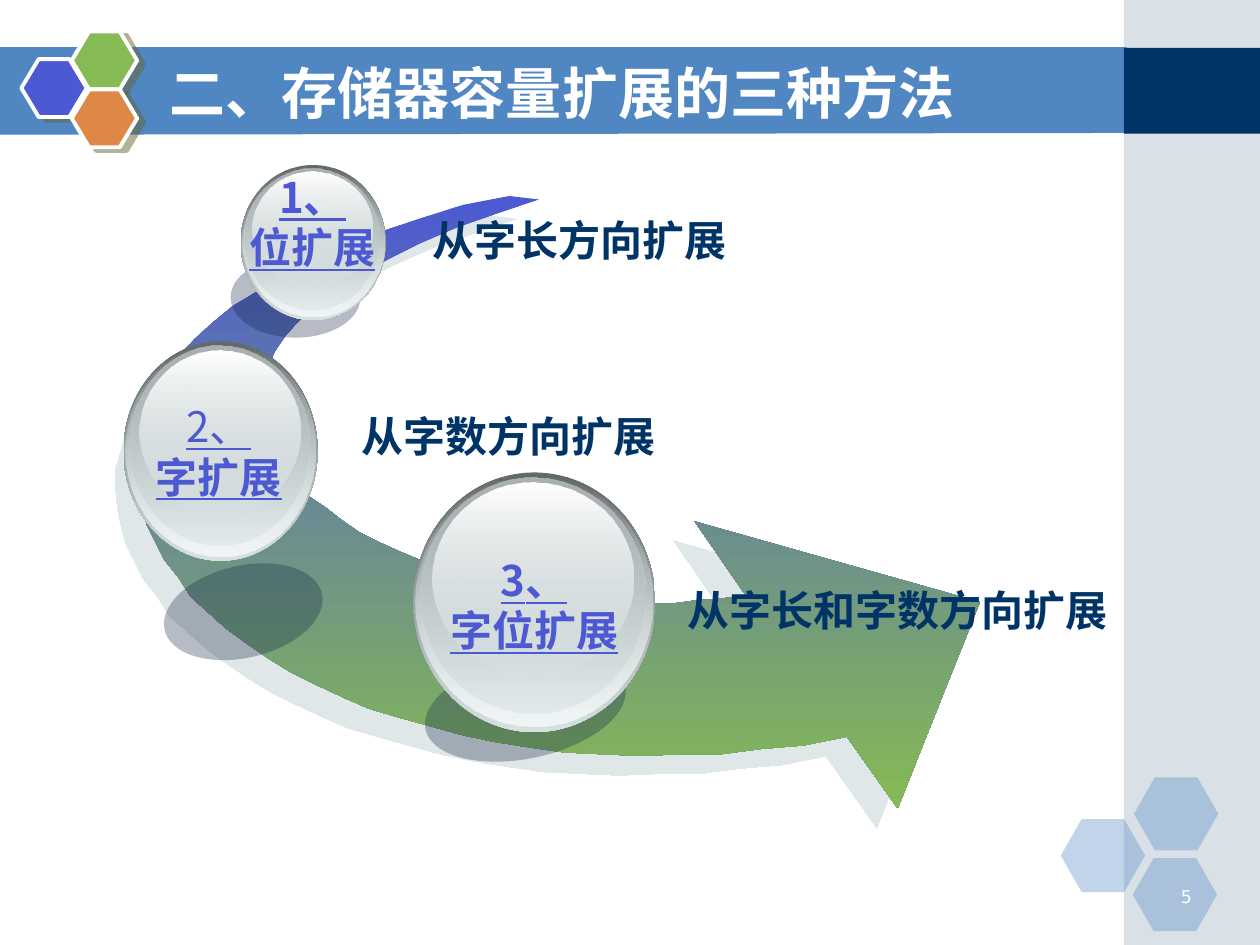
"""Build a slide on three ways to expand memory capacity."""
from lxml import etree
from pptx import Presentation
from pptx.dml.color import RGBColor
from pptx.enum.shapes import MSO_SHAPE
from pptx.enum.text import MSO_ANCHOR, PP_ALIGN
from pptx.oxml import parse_xml
from pptx.oxml.ns import nsdecls, qn
from pptx.util import Pt

RECTANGLE, HEXAGON, ELLIPSE = MSO_SHAPE.RECTANGLE, MSO_SHAPE.HEXAGON, MSO_SHAPE.OVAL
LEFT, CENTER, RIGHT = PP_ALIGN.LEFT, PP_ALIGN.CENTER, PP_ALIGN.RIGHT
TOP, MIDDLE = MSO_ANCHOR.TOP, MSO_ANCHOR.MIDDLE
CJK, SANS = "Noto Sans CJK SC", "DejaVu Sans"
BLUE, NAVY, VIOLET, GREEN, ORANGE, WHITE = (
    "5086C2", "003366", "4C59D2", "85BA54", "DE8848", "FFFFFF")

TITLE = "二、存储器容量扩展的三种方法"
BAND = [(-1, 27), (644, 27), (644, 76), (-1, 77)]
SIDEBAR = [((642.2, 0, 77.8, 540), "A0B5C4", 40), ((642.2, 27.4, 77.8, 49), NAVY, 100)]
FAINT_HEXAGONS = [(606.2, 468), (648, 444.2), (647.3, 490.3)]
BADGE_HEXAGONS = [(12.2, 33.8, VIOLET), (41, 18, GREEN), (41, 51.1, ORANGE)]

OUTER_CURVE = [
    (291, 112), (265, 117), (240, 125), (219, 132), (199, 140), (180, 148), (163, 156),
    (148, 166), (133, 175), (122, 184), (111, 194), (102, 204), (94, 215), (89, 225),
    (84, 235), (81, 247), (78, 257), (78, 268), (79, 279), (81, 289), (84, 300),
    (89, 310), (94, 320), (102, 330), (109, 341), (119, 350), (129, 359), (140, 367),
    (153, 376), (166, 384), (180, 391), (195, 398), (211, 405), (228, 410), (246, 415),
    (264, 420), (283, 424), (302, 427), (323, 430), (344, 431), (366, 432), (389, 431),
    (412, 431), (435, 428), (459, 426), (484, 421)]
ARROW_HEAD = [(513, 462), (560, 344), (397, 298), (426, 340)]
INNER_CURVE = [
    (413, 342), (398, 343), (384, 345), (369, 345), (354, 344), (339, 343), (325, 342),
    (310, 340), (295, 337), (281, 333), (267, 330), (253, 325), (240, 320), (228, 315),
    (217, 310), (205, 304), (195, 297), (186, 290), (177, 284), (169, 276), (163, 269),
    (157, 261), (153, 253), (150, 244), (148, 235), (148, 227), (149, 218), (153, 210),
    (157, 201), (163, 192), (171, 183), (181, 174), (193, 165), (207, 156), (222, 148),
    (240, 139), (261, 130), (284, 122), (308, 114)]

BALLS = [
    {"place": (236.2, 270, 138.2, 148.3), "shade": (241.9, 375.8, 116.6, 57.6), "turn": -12,
     "label": (249.8, 313.2, 110.9, 64.8), "lines": [("3、", True), ("字位扩展", True)]},
    {"place": (70.6, 195.1, 110.9, 125.3), "shade": (92.9, 323.3, 92.2, 52.6), "turn": -13,
     "label": (81.4, 225.4, 87.1, 64.8), "lines": [("2、", False), ("字扩展", True)]},
    {"place": (137.5, 94.3, 82.8, 88.6), "shade": (131.8, 146.9, 74.2, 46.1), "turn": 0,
     "label": (133.9, 94.3, 89.3, 64.8), "lines": [("1、", True), ("位扩展", True)]}]
BALL_LAYERS = [
    ((0, 0, 1, 1), [("636869", 100), ("D6E1E2", 100)]),
    ((0.01, 0.01, 0.98, 0.97), [("D6E1E2", 0), ("F1F5F5", 100)]),
    ((0.03, 0.02, 0.93, 0.91), [("AAB2B3", 100), ("D6E1E2", 48)]),
    ((0.08, 0.04, 0.83, 0.74), [("FFFFFF", 100), ("D6E1E2", 38)])]
CAPTIONS = [("从字长和字数方向扩展", (385.9, 330.5, 255.6, 36)),
            ("从字长方向扩展", (239.8, 118.8, 183.6, 36)),
            ("从字数方向扩展", (199.4, 231.1, 183.6, 36))]


def rgb(color):
    """Turn a hex string into a colour."""
    return RGBColor.from_string(color)


def color_xml(color, opacity):
    """Write a colour with its opacity in percent."""
    return f'<a:srgbClr val="{color}"><a:alpha val="{opacity * 1000}"/></a:srgbClr>'


def paint(shape, stops, line=None, shadow=None):
    """Fill with one colour or a downward gradient; set outline and shadow."""
    if len(stops) == 1:
        fill = f'<a:solidFill {nsdecls("a")}>{color_xml(*stops[0])}</a:solidFill>'
    else:
        marks = "".join(f'<a:gs pos="{place}">{color_xml(*stop)}</a:gs>'
                        for place, stop in zip((0, 100000), stops))
        fill = (f'<a:gradFill {nsdecls("a")} rotWithShape="1"><a:gsLst>{marks}</a:gsLst>'
                '<a:lin ang="5400000" scaled="0"/></a:gradFill>')
    shape.fill.background()
    properties = shape._element.spPr
    properties.replace(properties.find(qn("a:noFill")), parse_xml(fill))
    if line:
        shape.line.color.rgb = rgb(line)
        shape.line.width = Pt(2.25)
    else:
        shape.line.fill.background()
    shape.shadow.inherit = False
    if shadow:
        color, opacity, distance, angle = shadow
        effects = properties.find(qn("a:effectLst"))
        outer = etree.SubElement(effects, qn("a:outerShdw"), dist=str(Pt(distance)),
                                 dir=str(angle * 60000), algn="ctr", rotWithShape="0")
        outer.append(parse_xml(color_xml(color, opacity).replace(
            "<a:srgbClr", f'<a:srgbClr {nsdecls("a")}', 1)))


def add_preset(page, kind, place, stops, line=None, shadow=None, turn=0, corner=None):
    """Add a painted preset shape."""
    shape = page.shapes.add_shape(kind, *map(Pt, place))
    shape.rotation = turn
    if corner:
        shape.adjustments[0] = corner
    paint(shape, stops, line, shadow)


def add_outline(page, points, stops, shadow=None):
    """Add a painted closed polygon."""
    builder = page.shapes.build_freeform(*points[0], scale=Pt(1))
    builder.add_line_segments(points[1:], close=True)
    paint(builder.convert_to_shape(), stops, shadow=shadow)


def add_text(page, lines, place, size=24, color=NAVY, font=CJK, align=LEFT,
             anchor=TOP, underline=False):
    """Add a text box from pairs of line text and boldness."""
    box = page.shapes.add_textbox(*map(Pt, place))
    frame = box.text_frame
    frame.word_wrap = False
    frame.vertical_anchor = anchor
    for index, (text, bold) in enumerate(lines):
        para = frame.add_paragraph() if index else frame.paragraphs[0]
        para.alignment = align
        span = para.add_run()
        span.text = text
        span.font.size = Pt(size)
        span.font.bold = bold
        span.font.underline = underline
        span.font.color.rgb = rgb(color)
        span.font.name = font
        etree.SubElement(span.font._element, qn("a:ea"), typeface=font)


def add_ball(page, ball):
    """Add a shaded glass ball with its label."""
    add_preset(page, ELLIPSE, ball["shade"], [("0F2145", 30)], turn=ball["turn"])
    left, top, width, height = ball["place"]
    for (across, down, wide, high), stops in BALL_LAYERS:
        place = (left + across * width, top + down * height, wide * width, high * height)
        add_preset(page, ELLIPSE, place, stops)
    add_text(page, ball["lines"], ball["label"], color=VIOLET, align=CENTER, underline=True)


def main():
    """Build and save the deck."""
    deck = Presentation()
    deck.slide_width, deck.slide_height = Pt(720), Pt(540)
    page = deck.slides.add_slide(deck.slide_layouts[6])

    add_outline(page, BAND, [(BLUE, 100)])
    for place, color, opacity in SIDEBAR:
        add_preset(page, RECTANGLE, place, [(color, opacity)])
    for left, top in FAINT_HEXAGONS:
        add_preset(page, HEXAGON, (left, top, 48.2, 41.8), [(BLUE, 35)], corner=0.286)
    for left, top, color in BADGE_HEXAGONS:
        add_preset(page, HEXAGON, (left, top, 37.4, 33.1), [(color, 100)], line=WHITE,
                   shadow=("666633", 50, 4.5, 27), corner=0.3)
    add_text(page, [("5", False)], (652.3, 502.6, 36, 18), size=10, color=WHITE,
             font=SANS, align=RIGHT)
    add_text(page, [(TITLE, True)], (90, 30.2, 527.8, 44.6), size=32, color=WHITE,
             anchor=MIDDLE)

    add_outline(page, OUTER_CURVE + ARROW_HEAD + INNER_CURVE,
                [(VIOLET, 100), (GREEN, 100)], shadow=("C1D1D3", 50, 16.3, 137))
    for ball in BALLS:
        add_ball(page, ball)
    for text, place in CAPTIONS:
        add_text(page, [(text, True)], place)
    deck.save("out.pptx")


if __name__ == "__main__":
    main()
